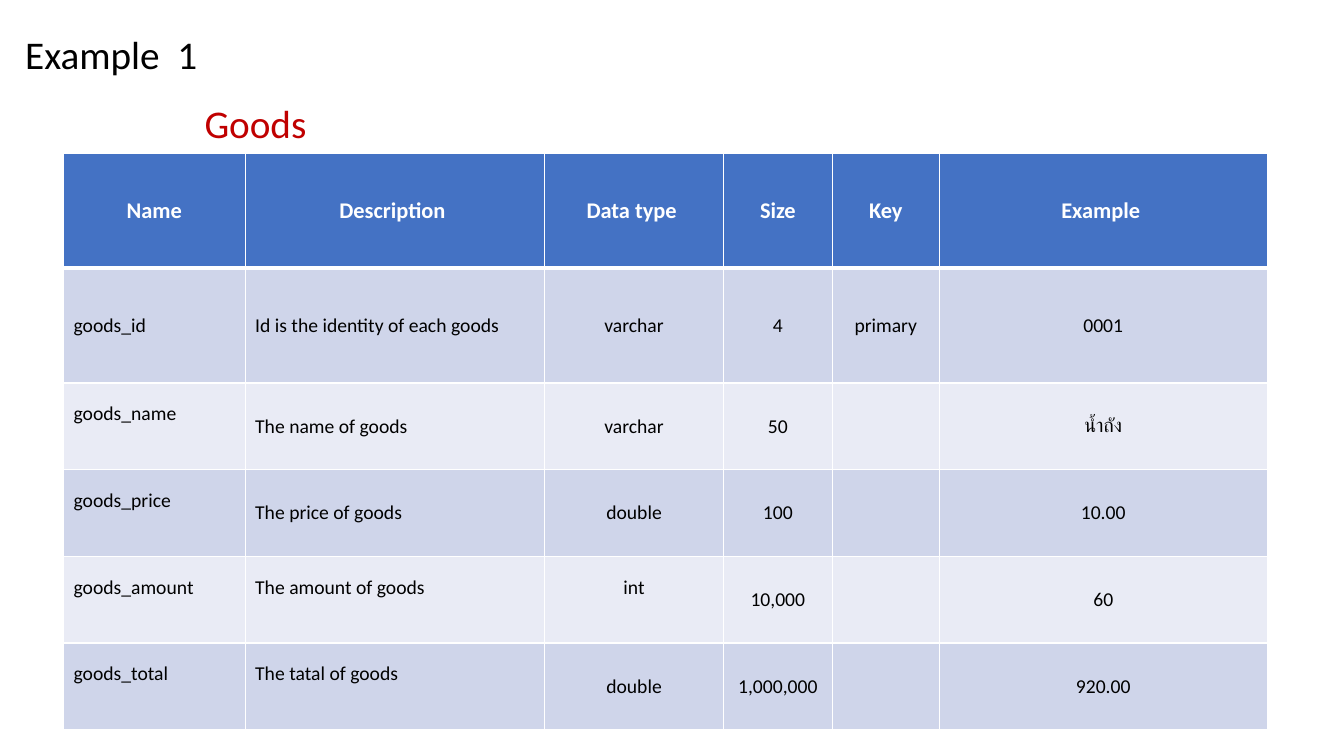
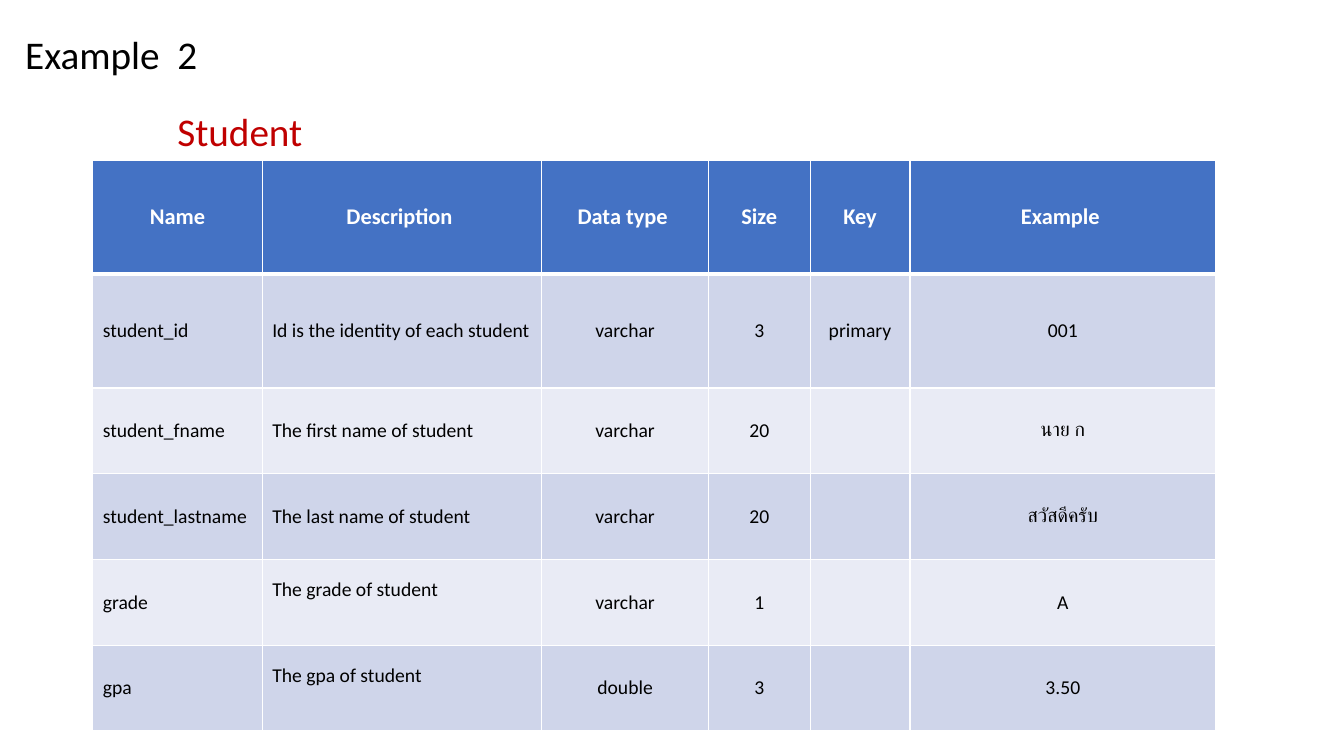
from lxml import etree
from pptx import Presentation
from pptx.dml.color import RGBColor
from pptx.enum import text as tx
from pptx.oxml import ns
from pptx.util import Inches, Pt

FONT = "Calibri"
COLORS = {"ink": "000000", "accent": "C00000", "white": "FFFFFF",
          "header": "4472C4", "odd": "CFD5EA", "even": "E9EBF5"}

# Content: "raised" lists the (row, column) cells whose text sits above the middle
HEADINGS = ["Name", "Description ", "Data type ", "Size", "Key", "Example "]
EXAMPLES = [
    {"title": "Example  1", "entity": "Goods", "entity_at": (1.93, 0.94),
     "table_at": (0.63, 1.52), "width": 11.94, "row_heights": (1.14, 0.86),
     "fields": [
         ("goods_id", "Id is the identity of each goods", "varchar", "4", "primary", "0001"),
         ("goods_name", "The name of goods", "varchar", "50", "", "น้ำถัง"),
         ("goods_price", "The price of goods", "double", "100", "", "10.00"),
         ("goods_amount", "The amount of goods", "int", "10,000", "", "60"),
         ("goods_total", "The tatal of goods", "double", "1,000,000", "", "920.00")],
     "raised": {(2, 0), (3, 0), (4, 0), (4, 1), (4, 2), (5, 0), (5, 1)}},
    {"title": "Example  2", "entity": "Student", "entity_at": (1.66, 1.02),
     "table_at": (0.92, 1.59), "width": 11.14, "row_heights": (1.13, 0.85),
     "fields": [
         ("student_id", "Id is the identity of each student", "varchar", "3", "primary", "001"),
         ("student_fname", "The first name of student", "varchar", "20", "", "นาย ก"),
         ("student_lastname", "The last name of student", "varchar", "20", "", "สวัสดีครับ"),
         ("grade", "The grade of student", "varchar", "1", "", "A"),
         ("gpa", "The gpa of student", "double", "3", "", "3.50")],
     "raised": {(4, 1), (5, 1)}},
]

# Shared layout
TITLE_BOX = (0.15, 0.25, 3.27, 0.57)
ENTITY_SIZE = (2.31, 0.57)
COLUMN_SHARES = [1.8, 2.97, 1.77, 1.08, 1.06, 3.25]
TALL_ROWS = 2
LEFT_COLUMNS = 2
RAISED_MARGIN = 0.29


def write(frame, words, size, color, bold=False, align=tx.PP_ALIGN.LEFT):
    paragraph = frame.paragraphs[0]
    paragraph.alignment = align
    run = paragraph.add_run()
    run.text = words
    run.font.name, run.font.size, run.font.bold = FONT, Pt(size), bold
    run.font.color.rgb = RGBColor.from_string(COLORS[color])


def write_heading(shape, words, color):
    frame = shape.text_frame
    frame.word_wrap = True
    frame.auto_size = tx.MSO_AUTO_SIZE.NONE
    frame.vertical_anchor = tx.MSO_ANCHOR.TOP
    write(frame, words, 28, color)


def set_borders(cell, top, bottom):
    """White lines of 1 pt at the sides, with the given widths above and below."""
    properties = cell._tc.get_or_add_tcPr()
    sides = [("lnL", 1), ("lnR", 1), ("lnT", top), ("lnB", bottom)]
    for place, (side, width) in enumerate(sides):
        line = etree.Element(ns.qn(f"a:{side}"), w=str(Pt(width)))
        fill = etree.SubElement(line, ns.qn("a:solidFill"))
        etree.SubElement(fill, ns.qn("a:srgbClr"), val=COLORS["white"])
        properties.insert(place, line)


def add_field_table(slide, example):
    rows = [HEADINGS] + example["fields"]
    tall, short = example["row_heights"]
    heights = [tall if r < TALL_ROWS else short for r in range(len(rows))]
    left, top = example["table_at"]
    table = slide.shapes.add_table(
        len(rows), len(HEADINGS), Inches(left), Inches(top),
        Inches(example["width"]), Inches(sum(heights))).table
    for column, share in zip(table.columns, COLUMN_SHARES):
        column.width = Inches(example["width"] * share / sum(COLUMN_SHARES))
    for row, height in zip(table.rows, heights):
        row.height = Inches(height)

    for r, values in enumerate(rows):
        header = r == 0
        band = "header" if header else "odd" if r % 2 else "even"
        for c, value in enumerate(values):
            cell = table.cell(r, c)
            cell.fill.solid()
            cell.fill.fore_color.rgb = RGBColor.from_string(COLORS[band])
            set_borders(cell, top=3 if r == 1 else 1, bottom=3 if header else 1)
            cell.vertical_anchor = tx.MSO_ANCHOR.MIDDLE
            if (r, c) in example["raised"]:
                cell.margin_bottom = Inches(RAISED_MARGIN)
            if value:
                at_left = not header and c < LEFT_COLUMNS
                write(cell.text_frame, value, 16 if header else 14,
                      "white" if header else "ink", bold=header,
                      align=tx.PP_ALIGN.LEFT if at_left else tx.PP_ALIGN.CENTER)


def main():
    deck = Presentation()
    deck.slide_width, deck.slide_height = Inches(13.33), Inches(7.5)
    title_only = deck.slide_layouts[5]
    for example in EXAMPLES:
        slide = deck.slides.add_slide(title_only)
        title = slide.shapes.title
        title.left, title.top, title.width, title.height = map(Inches, TITLE_BOX)
        write_heading(title, example["title"], "ink")
        add_field_table(slide, example)
        entity = slide.shapes.add_textbox(
            *map(Inches, example["entity_at"] + ENTITY_SIZE))
        write_heading(entity, example["entity"], "accent")
    deck.save("out.pptx")


if __name__ == "__main__":
    main()
